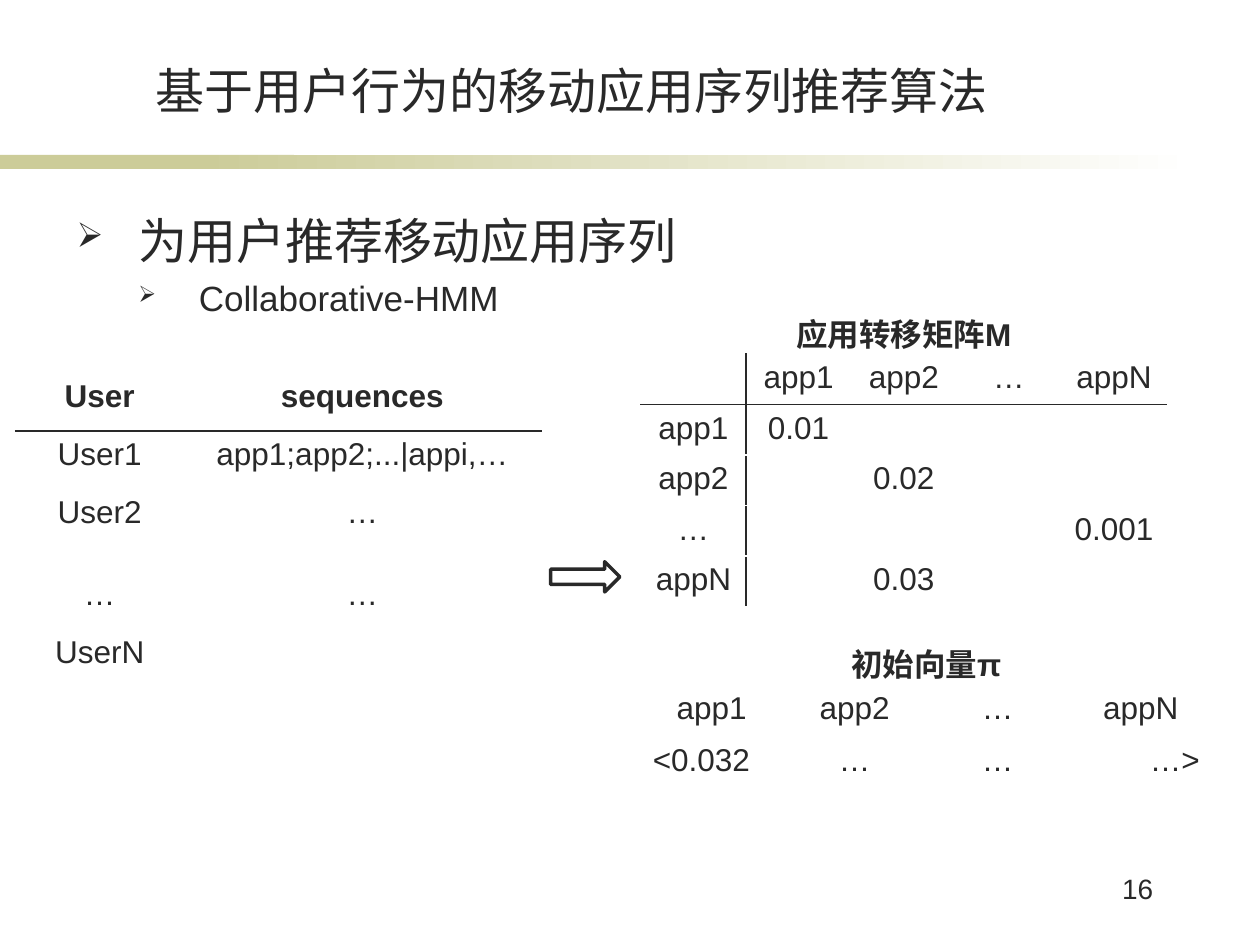
from lxml import etree
from pptx import Presentation
from pptx import util as u
from pptx.dml.color import RGBColor
from pptx.enum import shapes, text
from pptx.oxml.ns import qn

Pt = u.Pt
INK, PAPER, OLIVE = "292929", "FFFFFF", "CCCC99"
LEFT, CENTER, RIGHT = text.PP_ALIGN.LEFT, text.PP_ALIGN.CENTER, text.PP_ALIGN.RIGHT
TOP, BOTTOM = text.MSO_ANCHOR.TOP, text.MSO_ANCHOR.BOTTOM


def color(hex_value):
    return RGBColor.from_string(hex_value)


def write(paragraph, words, size=18, bold=False, align=LEFT, before=0,
          bullet=None, bullet_size=100, margin=0, hanging=0):
    paragraph.alignment = align
    paragraph.space_before = Pt(before)
    if bullet:
        props = paragraph._p.get_or_add_pPr()
        props.set("marL", str(Pt(margin)))
        props.set("indent", str(-Pt(hanging)))
        etree.SubElement(props, qn("a:buSzPct")).set("val", str(bullet_size * 1000))
        etree.SubElement(props, qn("a:buChar")).set("char", bullet)
    run = paragraph.add_run()
    run.text = words
    run.font.name = "Arial"
    run.font.size = Pt(size)
    run.font.bold = bold
    run.font.color.rgb = color(INK)


prs = Presentation()
prs.slide_width, prs.slide_height = Pt(720), Pt(540)
slide = prs.slides.add_slide(prs.slide_layouts[6])

# Band under the title: a solid start, then a fade to white
for left, width, fades in [(0, 168, False), (114, 570, True)]:
    band = slide.shapes.add_shape(shapes.MSO_SHAPE.RECTANGLE,
                                  Pt(left), Pt(88.5), Pt(width), Pt(8))
    band.shadow.inherit = False
    band.line.fill.background()
    if fades:
        band.fill.gradient()
        band.fill.gradient_angle = 0
        for stop, shade, place in zip(band.fill.gradient_stops, (OLIVE, PAPER), (0, 1)):
            stop.color.rgb = color(shade)
            stop.position = place
    else:
        band.fill.solid()
        band.fill.fore_color.rgb = color(OLIVE)

# Title, outline and page number
arrowhead = "➢"
texts = [
    ((82, 15, 567, 57), BOTTOM, [("基于用户行为的移动应用序列推荐算法", dict(size=28))]),
    ((36.7, 116.6, 641, 345.6), TOP, [
        ("为用户推荐移动应用序列", dict(size=28, before=5.6, bullet=arrowhead,
                              bullet_size=70, margin=35.3, hanging=35.3)),
        ("Collaborative-HMM", dict(size=20, before=4, bullet=arrowhead,
                                   bullet_size=65, margin=69.8, hanging=34.5))]),
    ((592.6, 494.6, 73.4, 28), TOP, [("16", dict(size=16, align=RIGHT))]),
]
for place, anchor, lines in texts:
    frame = slide.shapes.add_textbox(*map(Pt, place)).text_frame
    frame.word_wrap = True
    frame.vertical_anchor = anchor
    for number, (words, style) in enumerate(lines):
        paragraph = frame.add_paragraph() if number else frame.paragraphs[0]
        paragraph.level = number
        write(paragraph, words, **style)

# Tables: left, top, column widths, row heights, ruled row, ruled column,
# rows set at the bottom of their cells, contents
transition_matrix = [
    ["应用转移矩阵M"],
    ["", "app1", "app2", "…", "appN"],
    ["app1", "0.01", "", "", ""],
    ["app2", "", "0.02", "", ""],
    ["…", "", "", "", "0.001"],
    ["appN", "", "0.03", "", ""],
]
user_sequences = [
    ["User", "sequences"],
    ["User1", "app1;app2;...|appi,…"],
    ["User2", "…"],
    ["…", "…"],
    ["UserN", ""],
]
initial_vector = [
    ["初始向量π"],
    ["app1", "app2", "…", "appN"],
    ["<0.032", "…", "…", "…>"],
]
tables = [
    (366.2, 173.5, [60.1] * 5, [27.4] * 6, 1, 0, (), transition_matrix),
    (8.9, 213.1, [96.2, 204], [33.1, 33.1, 41, 33.1, 33.1], 0, None, (3, 4), user_sequences),
    (365.8, 362.2, [81.75] * 4, [29.3] * 3, None, None, (), initial_vector),
]
for left, top, widths, heights, ruled_row, ruled_col, low_rows, contents in tables:
    grid = slide.shapes.add_table(len(heights), len(widths), Pt(left), Pt(top),
                                  Pt(sum(widths)), Pt(sum(heights))).table
    grid.first_row = grid.horz_banding = False
    for column, width in zip(grid.columns, widths):
        column.width = Pt(width)
    for row, height in zip(grid.rows, heights):
        row.height = Pt(height)
    if len(contents[0]) == 1:
        grid.cell(0, 0).merge(grid.cell(0, len(widths) - 1))

    for r in range(len(heights)):
        for c in range(len(widths)):
            cell = grid.cell(r, c)
            cell.vertical_anchor = BOTTOM if r in low_rows else TOP
            cell.fill.solid()
            cell.fill.fore_color.rgb = color(PAPER)
            words = contents[r][c] if c < len(contents[r]) else ""
            if words:
                align = (LEFT if words.startswith("<")
                         else RIGHT if words.endswith(">") else CENTER)
                write(cell.text_frame.paragraphs[0], words, bold=r == 0, align=align)

            # Dark rules on both sides of a shared edge, white elsewhere
            below_title = ruled_col is not None and r > 0
            dark = {
                "L": below_title and c == ruled_col + 1,
                "R": below_title and c == ruled_col,
                "T": ruled_row is not None and r == ruled_row + 1,
                "B": r == ruled_row,
            }
            for order, (side, is_dark) in enumerate(dark.items()):
                edge = etree.Element(qn("a:ln" + side), w=str(Pt(1)))
                paint = etree.SubElement(edge, qn("a:solidFill"))
                etree.SubElement(paint, qn("a:srgbClr")).set("val", INK if is_dark else PAPER)
                cell._tc.get_or_add_tcPr().insert(order, edge)

# Arrow from the sequences to the model
arrow = slide.shapes.add_shape(shapes.MSO_SHAPE.RIGHT_ARROW,
                               Pt(314.6), Pt(321), Pt(39.6), Pt(17.3))
arrow.shadow.inherit = False
arrow.fill.solid()
arrow.fill.fore_color.rgb = color(PAPER)
arrow.line.color.rgb = color(INK)
arrow.line.width = Pt(2)

prs.save("out.pptx")
